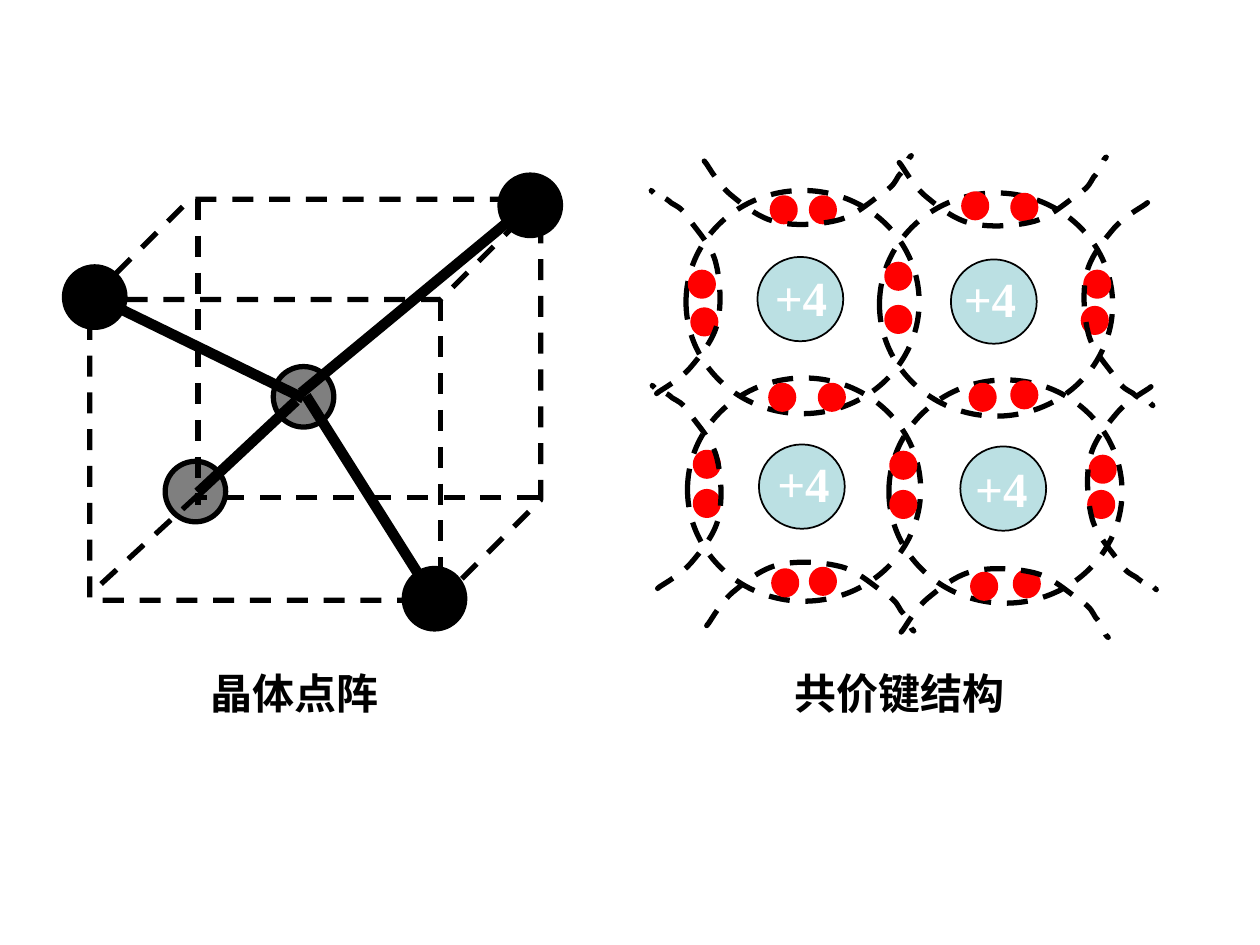
import pptx
import pptx.dml.color
import pptx.enum.dml
import pptx.enum.shapes
import pptx.enum.text
import pptx.oxml
import pptx.oxml.ns
import pptx.util

Cm = pptx.util.Cm
Pt = pptx.util.Pt
RGB = pptx.dml.color.RGBColor
SHAPE = pptx.enum.shapes.MSO_SHAPE
DASH = pptx.enum.dml.MSO_LINE.DASH
qn = pptx.oxml.ns.qn
DRAWING = pptx.oxml.ns.nsdecls("a")

THEME = {
    "black": RGB(0, 0, 0),
    "core": RGB(0xBB, 0xE0, 0xE3),
    "electron": RGB(0xFF, 0, 0),
    "caption": {"name": "Arial", "size": Pt(24), "bold": True},
    "charge": {"name": "Times New Roman", "size": Pt(28), "bold": True},
    "caption_color": RGB(0, 0, 0),
    "charge_color": RGB(0xFF, 0xFF, 0xFF),
    "thin": {"width": Pt(1)},
    "solid": {"width": Pt(3)},
    "dashed": {"width": Pt(3), "dash_style": DASH},
    "bond": {"width": Pt(6)},
}

presentation = pptx.Presentation()
presentation.slide_width, presentation.slide_height = Cm(25.4), Cm(19.05)
slide = presentation.slides.add_slide(presentation.slide_layouts[6])
shapes = slide.shapes


def format_outline(shape, line_format, color=THEME["black"]):
    shape.line.color.rgb = color
    for name, value in line_format.items():
        setattr(shape.line, name, value)
    shape._element.spPr.append(pptx.oxml.parse_xml("<a:effectLst %s/>" % DRAWING))


def add_preset(kind, left, top, width, height, line_format, fill=None, color=THEME["black"]):
    shape = shapes.add_shape(kind, Cm(left), Cm(top), Cm(width), Cm(height))
    if fill is None:
        shape.fill.background()
    else:
        shape.fill.solid()
        shape.fill.fore_color.rgb = fill
    format_outline(shape, line_format, color)
    return shape


# Crystal lattice: cube, hidden edges, atoms, bonds
add_preset(SHAPE.CUBE, 1.81, 4.02, 9.09, 8.08, THEME["dashed"])

hidden_edges = [
    (3.99, 4.01, 3.99, 10.19),
    (10.85, 10.03, 3.94, 10.03),
    (3.99, 9.98, 1.8, 11.99),
]
bonds = [
    (2.41, 6.22, 6.12, 8.03),
    (5.97, 8.08, 3.99, 9.93),
    (6.17, 7.98, 8.76, 12.09),
    (6.07, 7.92, 10.74, 4.06),
]
atoms = [
    (5.51, 7.39, True),
    (1.3, 5.38, False),
    (3.33, 9.3, True),
    (10.08, 3.53, False),
    (8.15, 11.46, False),
]
for edges, line_format in ((hidden_edges, THEME["dashed"]), (bonds, THEME["bond"])):
    if edges is bonds:
        # Atoms lie above the edges and below the bonds
        for left, top, translucent in atoms:
            atom = add_preset(SHAPE.OVAL, left, top, 1.22, 1.22, THEME["solid"], THEME["black"])
            if translucent:
                fill_color = atom._element.spPr.find(qn("a:solidFill")).find(qn("a:srgbClr"))
                fill_color.append(pptx.oxml.parse_xml('<a:alpha %s val="50000"/>' % DRAWING))
    for edge in edges:
        connector = shapes.add_connector(
            pptx.enum.shapes.MSO_CONNECTOR.STRAIGHT, *(Cm(value) for value in edge))
        format_outline(connector, line_format)

# Covalent bonds: ion cores, each centred in its electron shell
cores = [(15.27, 5.18), (19.17, 5.23), (15.3, 8.96), (19.36, 9)]
for left, top in cores:
    add_preset(SHAPE.OVAL, left, top, 1.73, 1.7, THEME["thin"], THEME["core"])
    add_preset(SHAPE.OVAL, left - 1.44, top - 1.34, 4.7, 4.5, THEME["dashed"])

# Shared electron pairs
electron_pairs = [
    ((15.57, 3.99), (16.36, 3.99)), ((19.43, 3.91), (20.42, 3.94)),
    ((13.92, 5.49), (13.97, 6.25)), ((17.88, 5.33), (17.88, 6.2)),
    ((21.89, 5.49), (21.84, 6.22)), ((15.54, 7.77), (16.54, 7.77)),
    ((19.58, 7.77), (20.42, 7.72)), ((14.02, 9.12), (14.02, 9.91)),
    ((17.98, 9.14), (17.98, 9.93)), ((22, 9.22), (21.97, 9.93)),
    ((15.6, 11.51), (16.36, 11.48)), ((19.61, 11.58), (20.47, 11.53)),
]
for pair in electron_pairs:
    for left, top in pair:
        add_preset(SHAPE.OVAL, left, top, 0.46, 0.48, THEME["solid"],
                   THEME["electron"], THEME["electron"])

# Neighbouring shells: one Bezier arc, turned to each side.
# After the start point, each row is two control points and an end point.
arc_points = [
    (1.27, 0.08),
    (1.27, 0.08), (1.37, 0), (1.27, 0.08),
    (1.17, 0.15), (0.84, 0.33), (0.64, 0.56),
    (0.43, 0.81), (0.15, 1.14), (0.08, 1.5),
    (0, 1.85), (0.03, 2.36), (0.13, 2.72),
    (0.23, 3.07), (0.56, 3.4), (0.69, 3.61),
    (0.84, 3.81), (0.89, 3.81), (1.02, 3.89),
    (1.12, 3.99), (1.3, 4.06), (1.37, 4.09),
    (1.44, 4.14), (1.42, 4.14), (1.42, 4.14),
    (1.42, 4.14), (1.37, 4.09), (1.37, 4.09),
]
turns = {
    "right": lambda x, y: (x, y),
    "left": lambda x, y: (1.44 - x, 4.14 - y),
    "top": lambda x, y: (1.02 * y, 1.44 - x),
    "bottom": lambda x, y: (1.02 * y, x),
}
arcs = [
    ("right", 21.82, 4.04), ("right", 21.89, 7.75),
    ("top", 14.15, 3.12), ("top", 18.08, 3.15),
    ("bottom", 14.2, 11.3), ("bottom", 18.12, 11.43),
    ("left", 13.11, 3.84), ("left", 13.13, 7.77),
]
for side, left, top in arcs:
    points = []
    for point in arc_points:
        x, y = turns[side](*point)
        points.append((Cm(left + x), Cm(top + y)))
    builder = shapes.build_freeform(*points[0])
    builder.add_line_segments(points[1:], close=False)
    arc = builder.convert_to_shape()
    # Every three line segments become one cubic curve
    segments = list(arc._element.spPr.iter(qn("a:lnTo")))
    for index in range(0, len(segments), 3):
        curve = pptx.oxml.parse_xml("<a:cubicBezTo %s/>" % DRAWING)
        segments[index].addprevious(curve)
        for segment in segments[index:index + 3]:
            curve.append(segment[0])
            segment.getparent().remove(segment)
    arc.fill.background()
    format_outline(arc, THEME["dashed"])

# Charges and captions
labels = [
    ("+4", 15.37, 5.26, 2, 1.45, "charge"),
    ("+4", 19.18, 5.28, 2, 1.45, "charge"),
    ("+4", 15.42, 9.02, 2, 1.45, "charge"),
    ("+4", 19.41, 9.12, 2, 1.45, "charge"),
    ("晶体点阵", 3.99, 13.34, 4.06, 1.27, "caption"),
    ("共价键结构", 15.77, 13.34, 4.8, 1.27, "caption"),
]
for text, left, top, width, height, role in labels:
    box = shapes.add_textbox(Cm(left), Cm(top), Cm(width), Cm(height))
    box.text_frame.word_wrap = True
    box.text_frame.auto_size = pptx.enum.text.MSO_AUTO_SIZE.SHAPE_TO_FIT_TEXT
    run = box.text_frame.paragraphs[0].add_run()
    run.text = text
    for name, value in THEME[role].items():
        setattr(run.font, name, value)
    run.font.color.rgb = THEME[role + "_color"]

presentation.save("out.pptx")
